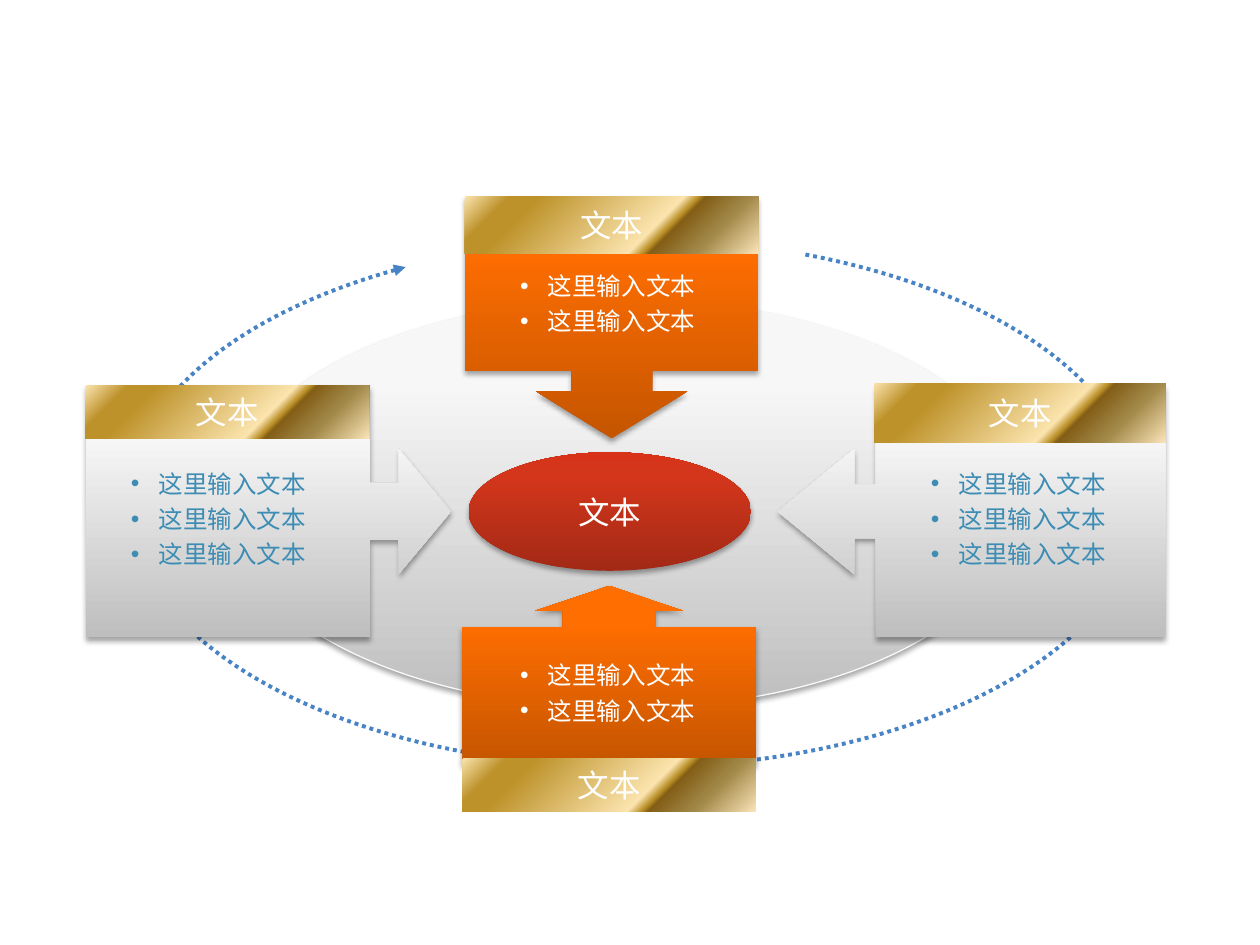
from lxml import etree
from pptx import Presentation
from pptx.dml.color import RGBColor
from pptx.enum.dml import MSO_LINE
from pptx.enum.shapes import MSO_SHAPE
from pptx.enum.text import MSO_ANCHOR, PP_ALIGN
from pptx.oxml.ns import qn
from pptx.util import Inches, Pt

ELLIPSE, RECTANGLE = MSO_SHAPE.OVAL, MSO_SHAPE.RECTANGLE
DOWN, UP = MSO_SHAPE.DOWN_ARROW_CALLOUT, MSO_SHAPE.UP_ARROW_CALLOUT
RIGHT, LEFT = MSO_SHAPE.RIGHT_ARROW_CALLOUT, MSO_SHAPE.LEFT_ARROW_CALLOUT
DOTTED = MSO_LINE.ROUND_DOT
CENTER, MIDDLE, TOP = PP_ALIGN.CENTER, MSO_ANCHOR.MIDDLE, MSO_ANCHOR.TOP

WIDTH, HEIGHT = Inches(10), Inches(7.5)
COLUMNS, ROWS = 100, 75
WHITE, BLUE, RING_BLUE, RIM = "FFFFFF", "3C8CB4", "4783C5", "F9F9F9"
GREY = [(0, "BEBEBE"), (80, "F7F7F7"), (100, "F8F8F8")]
RED = [(0, "A32915"), (80, "D3361B"), (100, "D83318")]
ORANGE = [(0, "C55500"), (80, "FF6E01"), (100, "FF6F02")]
GOLD = [(0, "FBE4AE"), (13, "BD922A"), (21, "BD922A"), (63, "FBE4AE"),
        (67, "BD922A"), (69, "835E17"), (82, "A28949"), (100, "FAE3B7")]
UPWARD, DIAGONAL = 90, 315
LABEL, ITEM = "文本", "这里输入文本"


def color(value):
    return RGBColor.from_string(value)


def add_element(parent, tag, **attributes):
    return etree.SubElement(parent, qn(tag), attributes)


class Diagram:
    font = "Arial"
    label_size, item_size = Pt(18), Pt(14)
    item_gap, indent = Pt(3.4), Inches(0.22)

    def __init__(self, page):
        self.page = page

    def x(self, columns):
        return round(columns * WIDTH / COLUMNS)

    def y(self, rows):
        return round(rows * HEIGHT / ROWS)

    def place(self, area):
        left, top, width, height = area
        return self.x(left), self.y(top), self.x(width), self.y(height)

    def gradient(self, shape, stops, angle):
        shape.fill.gradient()
        shape.fill.gradient_angle = angle
        stop_list = shape.element.spPr.find(qn("a:gradFill")).find(qn("a:gsLst"))
        for stop in list(stop_list):
            stop_list.remove(stop)
        for percent, value in stops:
            stop = add_element(stop_list, "a:gs", pos=str(percent * 1000))
            add_element(stop, "a:srgbClr", val=value)

    def shape(self, shapes, kind, area, stops, angle=UPWARD, rim=None, shadow=True):
        shape = shapes.add_shape(kind, *self.place(area))
        self.gradient(shape, stops, angle)
        if rim:
            shape.line.color.rgb = color(rim)
            shape.line.width = Pt(0.75)
        else:
            shape.line.fill.background()
        shape.shadow.inherit = False
        if shadow:
            effects = shape.element.spPr.find(qn("a:effectLst"))
            outer = add_element(effects, "a:outerShdw", blurRad=str(Pt(3.1)),
                                dist=str(Pt(1.8)), dir="5400000", rotWithShape="0")
            black = add_element(outer, "a:srgbClr", val="000000")
            add_element(black, "a:alpha", val="35000")
        return shape

    def span(self, para, text, size, ink, font=None):
        span = para.add_run()
        span.text = text
        span.font.size = size
        span.font.name = font or self.font
        span.font.color.rgb = color(ink)

    def label(self, shape, font=None):
        frame = shape.text_frame
        frame.word_wrap = False
        frame.vertical_anchor = MIDDLE
        para = frame.paragraphs[0]
        para.alignment = CENTER
        self.span(para, LABEL, self.label_size, WHITE, font)

    def callout(self, kind, area, adjustments, stops, header):
        group = self.page.shapes.add_group_shape()
        arrow = self.shape(group.shapes, kind, area, stops)
        for index, share in enumerate(adjustments):
            arrow.adjustments[index] = share
        band = self.shape(group.shapes, RECTANGLE, header, GOLD, DIAGONAL, shadow=False)
        self.label(band)

    def bullets(self, area, count, ink):
        box = self.page.shapes.add_textbox(*self.place(area))
        frame = box.text_frame
        frame.word_wrap = True
        frame.vertical_anchor = TOP
        for index in range(count):
            para = frame.add_paragraph() if index else frame.paragraphs[0]
            if index:
                para.space_before = self.item_gap
            properties = para._p.get_or_add_pPr()
            properties.set("marL", str(self.indent))
            properties.set("indent", str(-self.indent))
            add_element(properties, "a:buFont", typeface=self.font)
            add_element(properties, "a:buChar", char="•")
            self.span(para, ITEM, self.item_size, ink)

    def ring(self, start, curves):
        points = [(self.x(column), self.y(row)) for curve in curves for column, row in curve]
        builder = self.page.shapes.build_freeform(self.x(start[0]), self.y(start[1]))
        builder.add_line_segments(points, close=False)
        ring = builder.convert_to_shape()
        segments = list(ring.element.spPr.iter(qn("a:lnTo")))
        outline = segments[0].getparent()
        for first in range(0, len(segments), 3):
            curve = add_element(outline, "a:cubicBezTo")
            for segment in segments[first:first + 3]:
                curve.append(segment[0])
                outline.remove(segment)
        ring.fill.background()
        ring.line.color.rgb = color(RING_BLUE)
        ring.line.width = Pt(2.25)
        ring.line.dash_style = DOTTED
        add_element(ring.line._get_or_add_ln(), "a:headEnd", type="triangle")
        ring.shadow.inherit = False


def main():
    deck = Presentation()
    deck.slide_width, deck.slide_height = WIDTH, HEIGHT
    page = deck.slides.add_slide(deck.slide_layouts[6])
    diagram = Diagram(page)

    diagram.shape(page.shapes, ELLIPSE, (18, 23.8, 63.1, 32.4), GREY, rim=RIM)
    core = diagram.shape(page.shapes, ELLIPSE, (37.2, 35.9, 22.4, 9.4), RED)
    diagram.label(core, "Noto Sans CJK KR")
    diagram.ring((32.2, 21.2), [
        [(18.7, 24.8), (10.2, 32.1), (10.2, 40)],
        [(10.2, 51.5), (28.2, 60.9), (50.4, 60.9)],
        [(72.5, 60.9), (90.5, 51.5), (90.5, 40)],
        [(90.5, 31.1), (79.8, 23.2), (63.9, 20.2)],
    ])

    callouts = [
        (DOWN, (36.9, 15.6, 23.3, 19.2), (0.334, 0.312, 0.194, 0.721), ORANGE,
         (36.9, 15.6, 23.3, 4.5)),
        (RIGHT, (6.8, 30.6, 29, 20), (0.226, 0.25, 0.208, 0.778), GREY,
         (6.8, 30.6, 22.5, 4.2)),
        (LEFT, (61.7, 30.6, 30.8, 20), (0.213, 0.25, 0.305, 0.747), GREY,
         (69.4, 30.4, 23.1, 4.7)),
        (UP, (36.7, 46.5, 23.3, 14.2), (0.516, 0.412, 0.139, 0.769), ORANGE,
         (36.7, 60.2, 23.3, 4.2)),
    ]
    for callout in callouts:
        diagram.callout(*callout)

    for left in (9.4, 72.9):
        diagram.bullets((left, 36.7, 16.4, 10.4), 3, BLUE)
    for top in (21, 51.9):
        diagram.bullets((40.3, top, 16.4, 6.9), 2, WHITE)

    deck.save("out.pptx")


if __name__ == "__main__":
    main()
